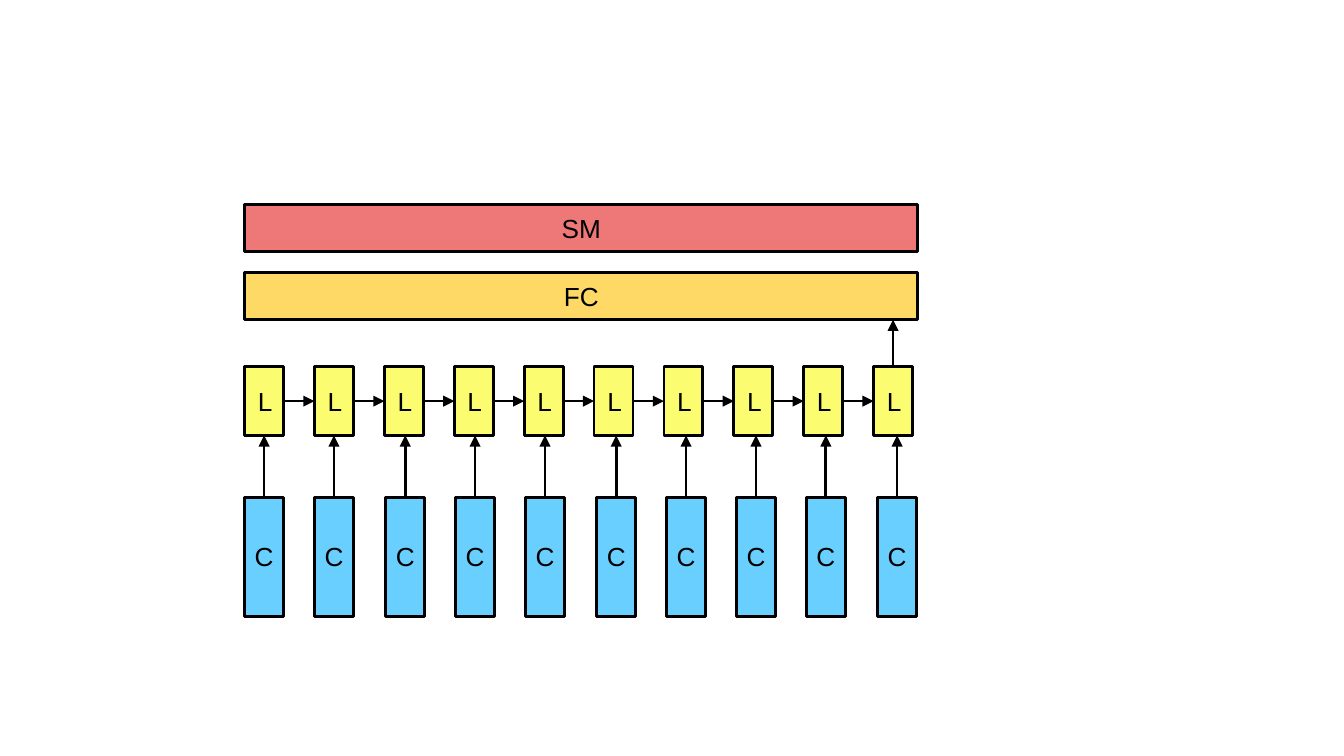
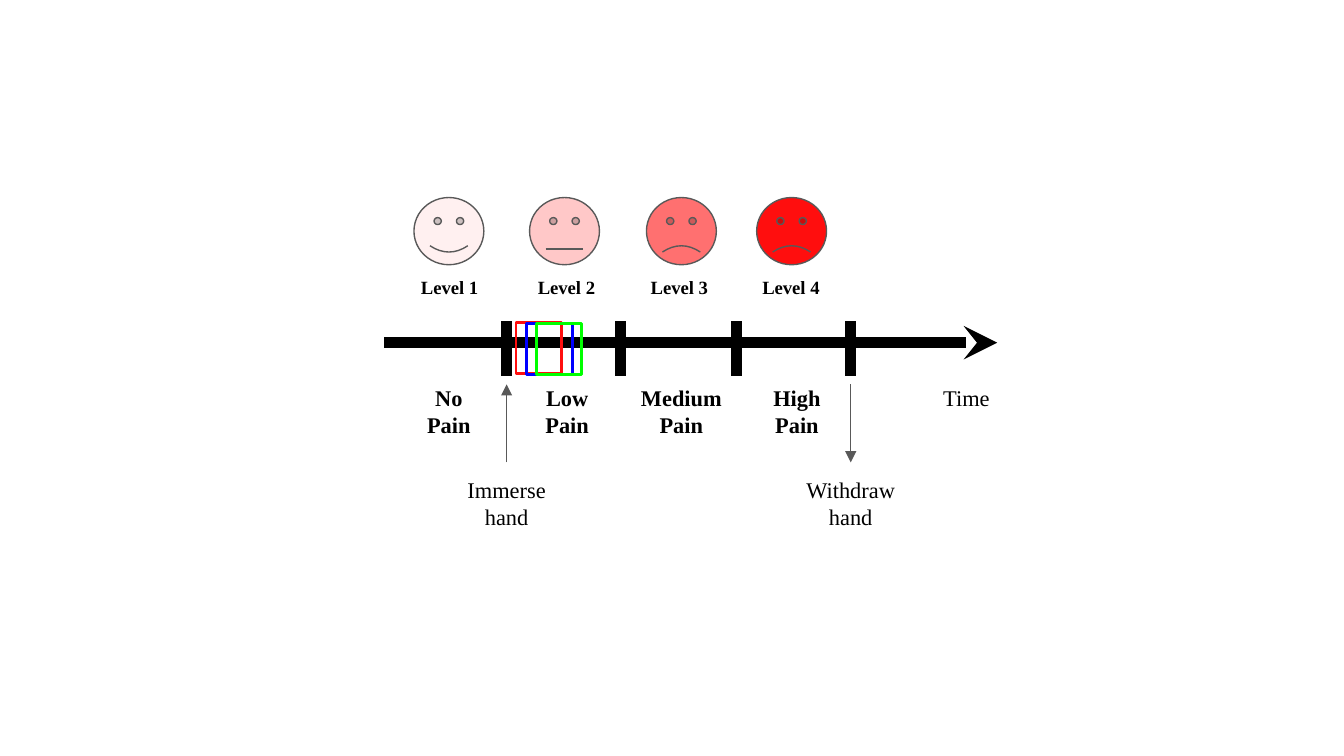
from lxml.etree import SubElement
from pptx import Presentation
from pptx.dml.color import RGBColor
from pptx.enum.shapes import MSO_CONNECTOR, MSO_SHAPE
from pptx.enum.text import MSO_ANCHOR, PP_ALIGN
from pptx.oxml.ns import qn
from pptx.util import Emu, Pt

SCALE = 9144  # EMU per px, 100 px to the inch
SLIDE_WIDTH = 1000
SLIDE_HEIGHT = SLIDE_WIDTH * 9 / 16
INSET = 10
TOP, LEFT, BOTTOM, RIGHT = range(4)

BLACK = RGBColor(0x00, 0x00, 0x00)
GREY = RGBColor(0x59, 0x59, 0x59)
YELLOW = RGBColor(0xFC, 0xFC, 0x71)
SKY = RGBColor(0x69, 0xCF, 0xFF)
AMBER = RGBColor(0xFF, 0xD9, 0x66)
CORAL = RGBColor(0xEE, 0x78, 0x78)
RED = RGBColor(0xFF, 0x0E, 0x0E)
BLUE = RGBColor(0x00, 0x00, 0xFF)
GREEN = RGBColor(0x00, 0xFF, 0x00)
SANS, SERIF = "Arial", "Times New Roman"

# Network slide
STEPS = 10
CELL_LEFT, CELL_WIDTH = 182, 29
LSTM_TOP, LSTM_HEIGHT, LSTM_PITCH = 273, 51, 52
CONV_TOP, CONV_HEIGHT, CONV_PITCH = 370, 89, 52.3
CONV_LABEL_WIDTH = 52
LAYER_WIDTH, LAYER_HEIGHT = 501, 35
LAYERS = [("FC", 203, AMBER), ("SM", 152, CORAL)]

# Pain scale slide
AXIS_START, AXIS_END, AXIS_Y = 286, 742, 255
TICKS, TICK_LEFT, TICK_PITCH = 4, 377, 85.3
TICK_TOP, TICK_BOTTOM = 239, 280
FACES = [  # left, mouth curve, colour
    (308, 0.047, RGBColor(0xFF, 0xF0, 0xF0)),
    (394, 0, RGBColor(0xFF, 0xC8, 0xC8)),
    (481, -0.047, RGBColor(0xFF, 0x70, 0x70)),
    (563, -0.047, RED),
]
LEVELS = [("Level 1", 291), ("Level 2", 378), ("Level 3", 462), ("Level 4", 545)]
PAINS = [  # text, left, width
    ("No Pain", 304, 60),
    ("Low Pain", 392, 60),
    ("Medium Pain", 461, 92),
    ("High Pain", 563, 60),
]
EVENTS = [  # lines, x, arrow start, arrow end
    (["Immerse", "hand"], 377, 344, 286),
    (["Withdraw", "hand"], 633, 286, 344),
]
EVENT_TOP, EVENT_WIDTH = 344, 88
WINDOWS = [(384, 240, RED), (392, 241, BLUE), (399, 241, GREEN)]


def px(length):
    return Emu(round(length * SCALE))


def write(shape, lines, font, size, bold=False, align=PP_ALIGN.CENTER, anchor=MSO_ANCHOR.TOP):
    frame = shape.text_frame
    frame.word_wrap = True
    frame.vertical_anchor = anchor
    frame.margin_left = frame.margin_right = px(INSET)
    frame.margin_top = frame.margin_bottom = px(INSET)
    frame.text = "\n".join(lines)
    for para in frame.paragraphs:
        para.alignment = align
        para.font.name = font
        para.font.size = Pt(size)
        para.font.bold = bold
        para.font.color.rgb = BLACK


def add_label(slide, area, lines, font, size, **style):
    label = slide.shapes.add_textbox(*map(px, area))
    write(label, lines, font, size, **style)


def add_box(slide, area, fill=None, line=BLACK, width=1.5, kind=MSO_SHAPE.RECTANGLE):
    box = slide.shapes.add_shape(kind, *map(px, area))
    box.shadow.inherit = False
    if fill is None:
        box.fill.background()
    else:
        box.fill.solid()
        box.fill.fore_color.rgb = fill
    box.line.color.rgb = line
    box.line.width = Pt(width)
    return box


def add_line(slide, start, end, width, color=BLACK, tip=None):
    line = slide.shapes.add_connector(MSO_CONNECTOR.STRAIGHT, *map(px, start + end))
    line.line.color.rgb = color
    line.line.width = Pt(width)
    properties = line._element.spPr
    if tip:
        SubElement(properties.find(qn("a:ln")), qn("a:tailEnd"), type=tip)
    SubElement(properties, qn("a:effectLst"))
    return line


def build_network(slide):
    cells = []
    middle = LSTM_TOP + LSTM_HEIGHT / 2
    for step in range(STEPS):
        left = CELL_LEFT + step * LSTM_PITCH
        cell = add_box(slide, (left, LSTM_TOP, CELL_WIDTH, LSTM_HEIGHT), YELLOW)
        write(cell, ["L"], SANS, 14, align=PP_ALIGN.LEFT, anchor=MSO_ANCHOR.MIDDLE)
        if cells:
            previous_right = left - LSTM_PITCH + CELL_WIDTH
            arrow = add_line(slide, (previous_right, middle), (left, middle), 0.75, tip="triangle")
            arrow.begin_connect(cells[-1], RIGHT)
            arrow.end_connect(cell, LEFT)
        cells.append(cell)

    for step in range(STEPS):
        left = round(CELL_LEFT + step * CONV_PITCH)
        center = left + CELL_WIDTH / 2
        block = add_box(slide, (left, CONV_TOP, CELL_WIDTH, CONV_HEIGHT), SKY)
        label_left = center - CONV_LABEL_WIDTH / 2
        add_label(slide, (label_left, CONV_TOP + 22, CONV_LABEL_WIDTH, 45), ["C"], SANS, 14)
        arrow = add_line(slide, (center, CONV_TOP), (center, LSTM_TOP + LSTM_HEIGHT), 1.5, tip="triangle")
        arrow.begin_connect(block, TOP)

    for name, top, color in LAYERS:
        layer = add_box(slide, (CELL_LEFT, top, LAYER_WIDTH, LAYER_HEIGHT), color)
        write(layer, [name], SANS, 14, anchor=MSO_ANCHOR.MIDDLE)

    last_center = CELL_LEFT + (STEPS - 1) * LSTM_PITCH + CELL_WIDTH / 2
    layer_bottom = LAYERS[0][1] + LAYER_HEIGHT
    arrow = add_line(slide, (last_center, LSTM_TOP), (last_center, layer_bottom), 1.5, tip="triangle")
    arrow.begin_connect(cells[-1], TOP)


def build_pain_scale(slide):
    add_line(slide, (AXIS_START, AXIS_Y), (AXIS_END, AXIS_Y), 6, tip="stealth")
    for tick in range(TICKS):
        x = round(TICK_LEFT + tick * TICK_PITCH)
        add_line(slide, (x, TICK_TOP), (x, TICK_BOTTOM), 6)

    for text, left in LEVELS:
        add_label(slide, (left, 197, 87, 38), [text], SERIF, 10, bold=True)
    for text, left, width in PAINS:
        add_label(slide, (left, 276, width, 50), [text], SERIF, 12, bold=True)
    add_label(slide, (692, 276, 70, 41), ["Time"], SERIF, 12, align=PP_ALIGN.LEFT)

    for left, curve, color in FACES:
        face = add_box(slide, (left, 147, 52, 50), color, GREY, 0.75, MSO_SHAPE.SMILEY_FACE)
        face.adjustments[0] = curve

    for lines, x, start, end in EVENTS:
        add_line(slide, (x, start), (x, end), 0.75, GREY, "triangle")
        add_label(slide, (x - EVENT_WIDTH / 2, EVENT_TOP, EVENT_WIDTH, 42), lines, SERIF, 12)

    for left, top, color in WINDOWS:
        add_box(slide, (left, top, 34, 38), line=color)


def main():
    deck = Presentation()
    deck.slide_width = px(SLIDE_WIDTH)
    deck.slide_height = px(SLIDE_HEIGHT)
    blank = deck.slide_layouts[6]
    for build in (build_network, build_pain_scale):
        build(deck.slides.add_slide(blank))
    deck.save("out.pptx")


if __name__ == "__main__":
    main()
